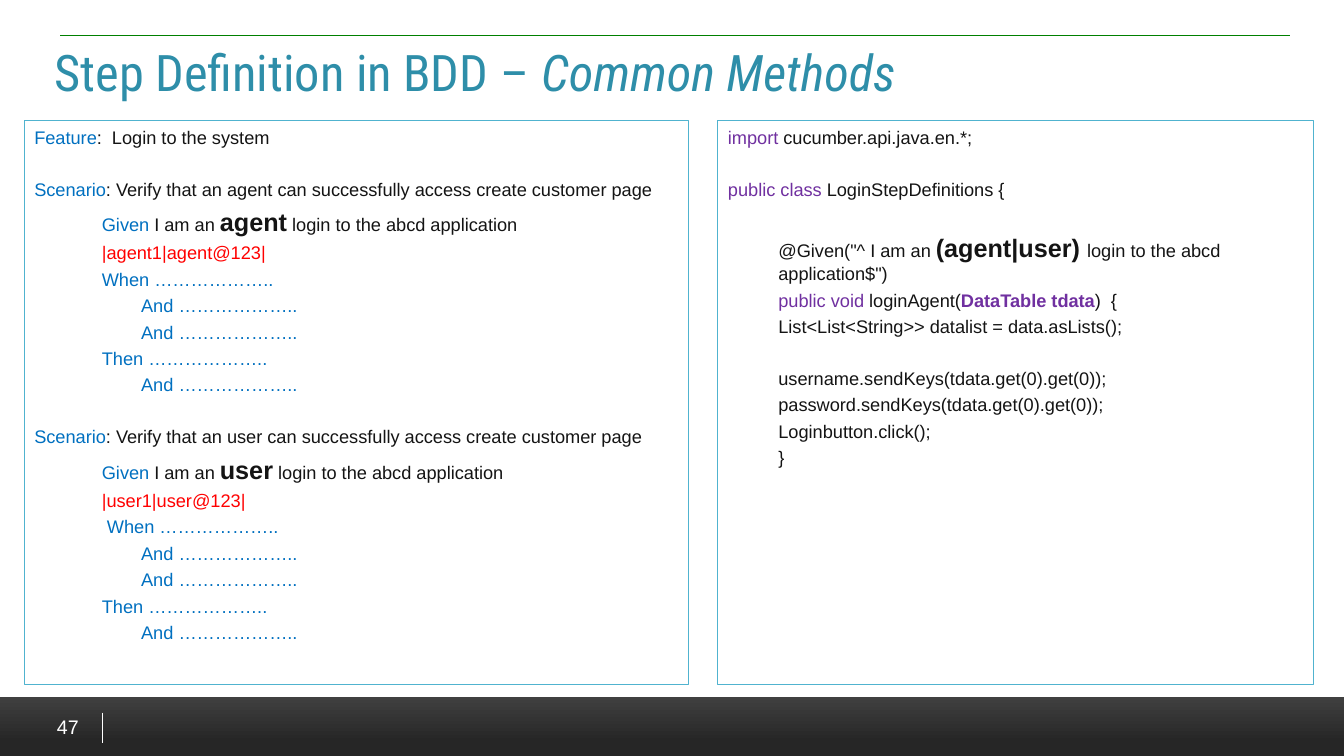
from lxml import etree
from pptx import Presentation
from pptx.dml.color import RGBColor
from pptx.enum.shapes import MSO_CONNECTOR, MSO_SHAPE
from pptx.enum.text import MSO_ANCHOR, MSO_AUTO_SIZE, PP_ALIGN
from pptx.oxml.ns import qn
from pptx.util import Inches, Pt

STRAIGHT = MSO_CONNECTOR.STRAIGHT
RECTANGLE = MSO_SHAPE.RECTANGLE
TOP, MIDDLE = MSO_ANCHOR.TOP, MSO_ANCHOR.MIDDLE
LEFT, RIGHT = PP_ALIGN.LEFT, PP_ALIGN.RIGHT
NO_AUTOFIT = MSO_AUTO_SIZE.NONE

COLORS = {
    "title": "2E8EA9",
    "border": "50B3CF",
    "rule": "008000",
    "white": "FFFFFF",
    "footer_dark": "262626",
    "footer_light": "404040",
    "text": "141414",
    "gherkin": "0070C0",
    "java": "7030A0",
    "data": "FF0000",
}
LINE_GAP = 3.25
EMPHASIS_GAP = 5
BLANK_LINE = 18.2
STEP_INDENT = 0.67
AND_INDENT = 1.06
JAVA_INDENT = 0.5
DOTS = " ……………….."

TEXT = {"name": "Arial", "size": Pt(13), "bold": False, "color": "text"}
GHERKIN = {**TEXT, "color": "gherkin"}
JAVA = {**TEXT, "color": "java"}
JAVA_BOLD = {**JAVA, "bold": True}
DATA = {**TEXT, "color": "data"}
EMPHASIS = {**TEXT, "size": Pt(18), "bold": True}
TITLE = {"name": "Roboto Condensed", "size": Pt(36), "color": "title"}
TITLE_ITALIC = {**TITLE, "italic": True}
PAGE_NUMBER = {**TEXT, "size": Pt(14), "color": "white"}


def rgb(name):
    return RGBColor.from_string(COLORS[name])


def place(shape, box):
    shape.left, shape.top, shape.width, shape.height = map(Inches, box)


def add_run(paragraph, text, style):
    run = paragraph.add_run()
    run.text = text
    for name, value in style.items():
        if name == "color":
            run.font.color.rgb = rgb(value)
        else:
            setattr(run.font, name, value)


def add_line(slide, start, end, color):
    line = slide.shapes.add_connector(STRAIGHT, *map(Inches, start + end))
    line.line.color.rgb = rgb(color)
    line.line.width = Pt(0.5)
    etree.SubElement(line._element.spPr, qn("a:effectLst"))


def scenario(role, gap, when):
    when_indent = STEP_INDENT + (0.05 if when.startswith(" ") else 0)
    and_line = (AND_INDENT, LINE_GAP, [("And" + DOTS, GHERKIN)])
    return [
        (0, gap, [
            ("Scenario", GHERKIN),
            (f": Verify that an {role} can successfully access create customer page", TEXT),
        ]),
        (STEP_INDENT, EMPHASIS_GAP, [
            ("Given", GHERKIN), (" I am an ", TEXT), (role, EMPHASIS),
            (" login to the abcd application", TEXT),
        ]),
        (STEP_INDENT, LINE_GAP, [(f"|{role}1|{role}@123|", DATA)]),
        (when_indent, LINE_GAP, [(when.strip() + DOTS, GHERKIN)]),
        and_line,
        and_line,
        (STEP_INDENT, LINE_GAP, [("Then" + DOTS, GHERKIN)]),
        and_line,
    ]


AFTER_BLANK = LINE_GAP + BLANK_LINE
FEATURE_LINES = [
    (0, 0, [("Feature", GHERKIN), (":  Login to the system", TEXT)]),
    *scenario("agent", AFTER_BLANK, "When"),
    *scenario("user", AFTER_BLANK, " When"),
]
JAVA_LINES = [
    (0, 0, [("import ", JAVA), ("cucumber.api.java.en.*;", TEXT)]),
    (0, AFTER_BLANK, [("public class ", JAVA), ("LoginStepDefinitions {", TEXT)]),
    (JAVA_INDENT, EMPHASIS_GAP + BLANK_LINE, [
        ('@Given("^ I am an ', TEXT), ("(agent|user) ", EMPHASIS),
        ('login to the abcd application$")', TEXT),
    ]),
    (JAVA_INDENT, LINE_GAP, [
        ("public void ", JAVA), ("loginAgent(", TEXT),
        ("DataTable tdata", JAVA_BOLD), (")  {", TEXT),
    ]),
    (JAVA_INDENT, LINE_GAP, [("List<List<String>> datalist = data.asLists();", TEXT)]),
    (JAVA_INDENT, AFTER_BLANK, [("username.sendKeys(tdata.get(0).get(0));", TEXT)]),
    (JAVA_INDENT, LINE_GAP, [("password.sendKeys(tdata.get(0).get(0));", TEXT)]),
    (JAVA_INDENT, LINE_GAP, [("Loginbutton.click();", TEXT)]),
    (JAVA_INDENT, LINE_GAP, [("}", TEXT)]),
]


def fill_title(slide, box):
    left, top, width, height = box
    add_line(slide, (left + 0.16, top - 0.01), (left + width + 0.01, top - 0.01), "rule")
    title = slide.shapes.title
    place(title, box)
    frame = title.text_frame
    frame.auto_size = NO_AUTOFIT
    frame.vertical_anchor = TOP
    paragraph = frame.paragraphs[0]
    paragraph.alignment = LEFT
    add_run(paragraph, "Step Definition in BDD – ", TITLE)
    add_run(paragraph, "Common Methods", TITLE_ITALIC)


def fill_code_panel(panel, box, lines):
    place(panel, box)
    panel.line.color.rgb = rgb("border")
    panel.line.width = Pt(0.75)
    frame = panel.text_frame
    frame.auto_size = NO_AUTOFIT
    frame.vertical_anchor = TOP
    frame.word_wrap = True
    for index, (indent, gap, runs) in enumerate(lines):
        paragraph = frame.add_paragraph() if index else frame.paragraphs[0]
        properties = paragraph._p.get_or_add_pPr()
        properties.set("marL", str(Inches(indent)))
        properties.set("indent", "0")
        etree.SubElement(properties, qn("a:buNone"))
        paragraph.space_before = Pt(gap)
        for text, style in runs:
            add_run(paragraph, text, style)


def add_footer(slide, box):
    left, top, width, height = box
    band = slide.shapes.add_shape(RECTANGLE, *map(Inches, box))
    band.shadow.inherit = False
    band.line.fill.background()
    band.fill.gradient()
    band.fill.gradient_angle = 90
    stops = ((0.24, "footer_dark"), (1, "footer_light"))
    for stop, (position, color) in zip(band.fill.gradient_stops, stops):
        stop.position = position
        stop.color.rgb = rgb(color)
    add_line(slide, (left + 1.02, top + 0.16), (left + 1.02, top + 0.46), "white")
    number = slide.shapes.add_textbox(*map(Inches, (left + 0.24, top + 0.06, 0.64, 0.47)))
    frame = number.text_frame
    frame.word_wrap = True
    frame.vertical_anchor = MIDDLE
    paragraph = frame.paragraphs[0]
    paragraph.alignment = RIGHT
    add_run(paragraph, "47", PAGE_NUMBER)


def main():
    presentation = Presentation()
    presentation.slide_width = Inches(13.33)
    presentation.slide_height = Inches(7.5)
    slide = presentation.slides.add_slide(presentation.slide_layouts[3])
    add_footer(slide, (0, 6.91, 13.33, 0.59))
    fill_title(slide, (0.44, 0.36, 12.34, 0.66))
    fill_code_panel(slide.placeholders[1], (0.24, 1.2, 6.59, 5.59), FEATURE_LINES)
    fill_code_panel(slide.placeholders[2], (7.12, 1.2, 5.91, 5.59), JAVA_LINES)
    presentation.save("out.pptx")


if __name__ == "__main__":
    main()
